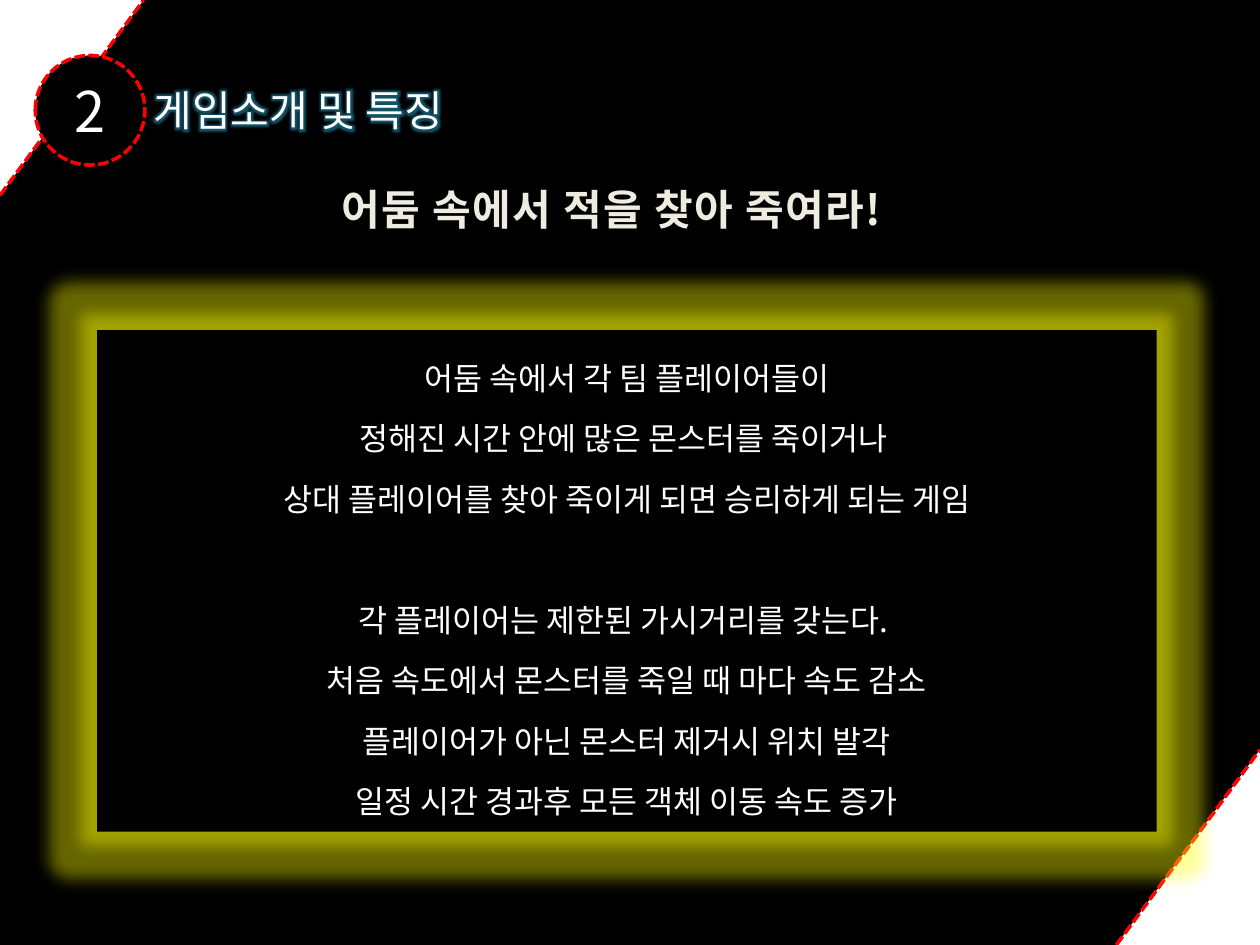
from lxml.etree import SubElement
from pptx import Presentation
from pptx.dml.color import RGBColor
from pptx.enum.dml import MSO_LINE
from pptx.enum.shapes import MSO_CONNECTOR, MSO_SHAPE as SHAPE
from pptx.enum.text import MSO_ANCHOR as ANCHOR, MSO_AUTO_SIZE as FIT, PP_ALIGN as ALIGN
from pptx.oxml.ns import qn
from pptx.util import Inches, Pt

COLORS = {"black": "000000", "white": "FFFFFF", "red": "FF0000",
          "cream": "EEECE1", "yellow": "FFFF00", "teal": "33CCFF"}
RGB = {name: RGBColor.from_string(value) for name, value in COLORS.items()}
FONT = "Noto Sans CJK KR"
WIDTH, HEIGHT = Inches(10), Inches(7.5)
CORNER_W, CORNER_H = Inches(1.14), Inches(1.55)


def write(shape, lines, size, color="white", align=ALIGN.CENTER, spacing=1.0,
          frame_format=None, **font_format):
    frame = shape.text_frame
    for name, value in (frame_format or {}).items():
        setattr(frame, name, value)
    frame.text = "\n".join(lines)
    for paragraph in frame.paragraphs:
        paragraph.alignment, paragraph.line_spacing = align, spacing
        font = paragraph.runs[0].font
        for name, value in {"size": Pt(size), "name": FONT, **font_format}.items():
            setattr(font, name, value)
        font.color.rgb = RGB[color]
        SubElement(font._element, qn("a:ea"), typeface=FONT)


def add_glow(properties, color, radius):
    effects = properties.find(qn("a:effectLst"))
    if effects is None:
        effects = SubElement(properties, qn("a:effectLst"))
    glow = SubElement(effects, qn("a:glow"), rad=str(Pt(radius)))
    tint = SubElement(glow, qn("a:srgbClr"), val=COLORS[color])
    SubElement(tint, qn("a:alpha"), val="40000")


deck = Presentation()
deck.slide_width, deck.slide_height = WIDTH, HEIGHT
slide = deck.slides.add_slide(deck.slide_layouts[5])
shapes = slide.shapes
slide.background.fill.solid()
slide.background.fill.fore_color.rgb = RGB["black"]

# White corners with dashed edges
right, bottom = WIDTH - CORNER_W, HEIGHT - CORNER_H
for left, top, turn in ((0, 0, 0), (right, bottom, 180)):
    corner = shapes.add_shape(SHAPE.ISOSCELES_TRIANGLE, left, top, CORNER_W, CORNER_H)
    corner.adjustments[0] = 0
    corner.rotation = turn
    corner._element.spPr.find(qn("a:xfrm")).set("flipV", "1")
    corner.shadow.inherit = False
    corner.fill.solid()
    corner.fill.fore_color.rgb = RGB["white"]
    corner.line.fill.background()

    edge = shapes.add_connector(MSO_CONNECTOR.STRAIGHT, left, top + CORNER_H,
                                left + CORNER_W, top)
    edge.line.color.rgb = RGB["red"]
    edge.line.width = Pt(2)
    edge.line.dash_style = MSO_LINE.SQUARE_DOT
    SubElement(edge._element.spPr, qn("a:effectLst"))

# Section heading
heading = shapes.title
heading.left, heading.top = Inches(1.12), Inches(0.62)
heading.width, heading.height = Inches(2.8), Inches(0.5)
write(heading, ["게임소개 및 특징"], 24, align=ALIGN.LEFT,
      frame_format={"word_wrap": False, "auto_size": FIT.SHAPE_TO_FIT_TEXT,
                    "vertical_anchor": ANCHOR.TOP})
heading_font = heading.text_frame.paragraphs[0].runs[0].font._element
add_glow(heading_font, "teal", 5)
heading_font.insert(1, heading_font.find(qn("a:effectLst")))

# Black panels: section number, slogan, description
panels = []
for kind, left, top, width, height in (
        (SHAPE.OVAL, 0.28, 0.44, 0.87, 0.87),
        (SHAPE.RECTANGLE, 2.61, 1.17, 4.36, 0.75),
        (SHAPE.RECTANGLE, 0.77, 2.62, 8.41, 3.98)):
    panel = shapes.add_shape(kind, *map(Inches, (left, top, width, height)))
    panel.shadow.inherit = False
    panel.fill.solid()
    panel.fill.fore_color.rgb = RGB["black"]
    panel.line.fill.background()
    panels.append(panel)
number, slogan, description = panels

number.line.color.rgb = RGB["red"]
number.line.width = Pt(2)
number.line.dash_style = MSO_LINE.SQUARE_DOT
write(number, ["2"], 32, frame_format={"vertical_anchor": ANCHOR.MIDDLE})

growing = {"auto_size": FIT.SHAPE_TO_FIT_TEXT, "vertical_anchor": ANCHOR.TOP}
write(slogan, ["어둠 속에서 적을 찾아 죽여라!"], 24, "cream", ALIGN.JUSTIFY, 1.6,
      {**growing, "word_wrap": False}, bold=True)
slogan.text_frame.paragraphs[0].runs[0].font._element.set("spc", "50")

rules = ["어둠 속에서 각 팀 플레이어들이",
         "정해진 시간 안에 많은 몬스터를 죽이거나 ",
         "상대 플레이어를 찾아 죽이게 되면 승리하게 되는 게임",
         "각 플레이어는 제한된 가시거리를 갖는다. ",
         "처음 속도에서 몬스터를 죽일 때 마다 속도 감소",
         "플레이어가 아닌 몬스터 제거시 위치 발각",
         "일정 시간 경과후 모든 객체 이동 속도 증가"]
write(description, rules, 18, spacing=1.6, frame_format={**growing, "word_wrap": True})
description.text_frame.paragraphs[3].space_before = Pt(34.6)
add_glow(description._element.spPr, "yellow", 18)

deck.save("out.pptx")
